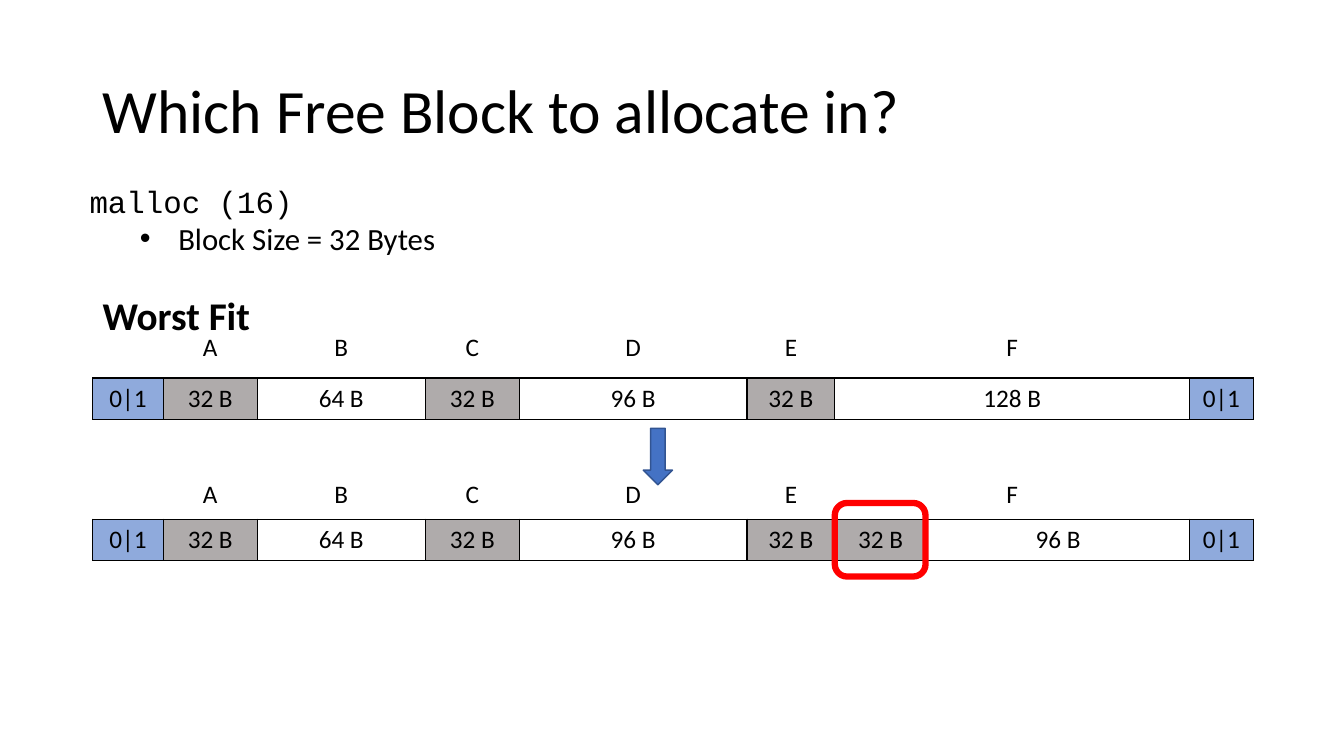
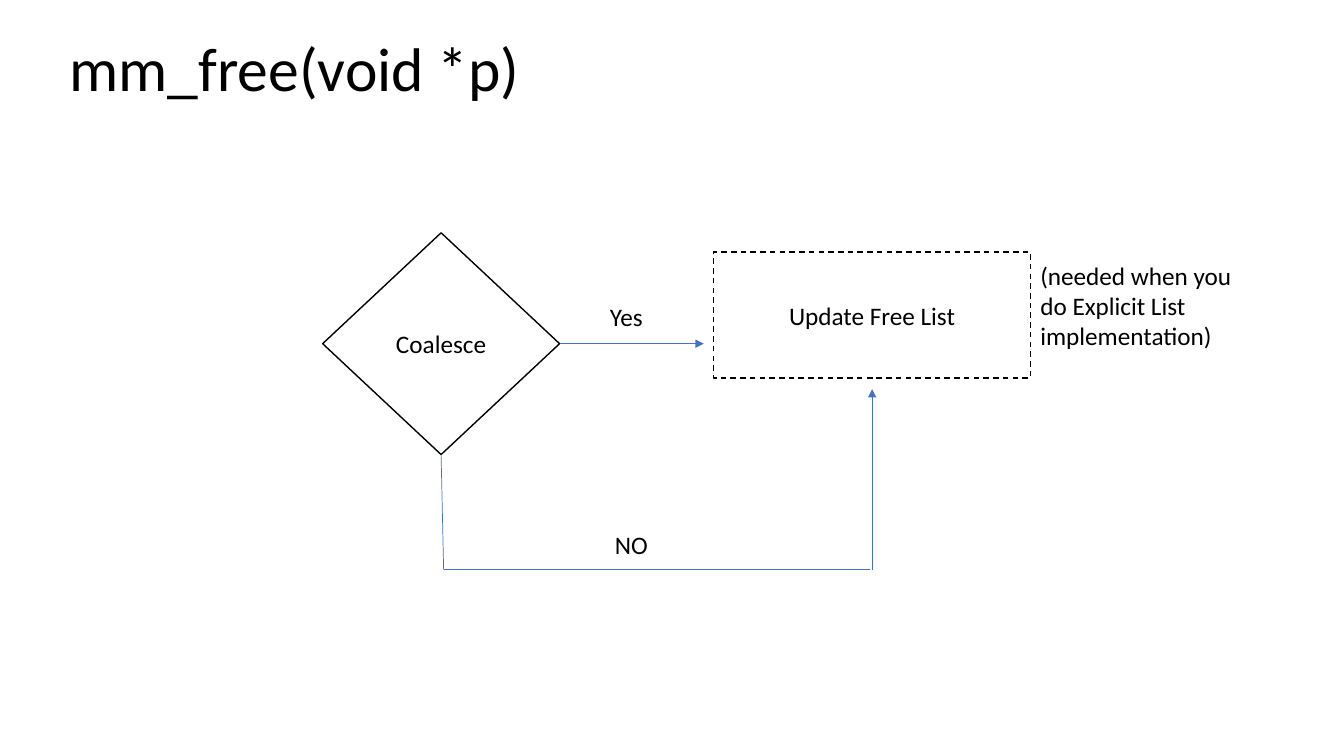
from lxml.etree import SubElement
from pptx import Presentation
from pptx.dml.color import RGBColor
from pptx.enum.dml import MSO_LINE
from pptx.enum.shapes import MSO_CONNECTOR, MSO_SHAPE
from pptx.enum.text import MSO_ANCHOR, PP_ALIGN
from pptx.oxml.ns import qn
from pptx.util import Inches, Pt

# Shared look
BLACK, WHITE, RED = "000000", "FFFFFF", "FF0000"
BLUE, DARK_BLUE = "4472C4", "325491"
ALLOCATED, BOUNDARY = "AFABAB", "8FAADC"
BODY = {"name": "Calibri", "size": Pt(18), "bold": False}
TITLE = BODY | {"size": Pt(44)}
HEADING = BODY | {"size": Pt(28), "bold": True}
DETAIL = BODY | {"size": Pt(22)}
CODE = DETAIL | {"name": "Courier New"}

# Heap columns
ROW_HEIGHT = 0.41
HEAP_WIDTHS = [0.7, 0.93, 1.67, 0.93, 2.26, 0.87, 3.52, 0.63]
SPLIT_WIDTHS = HEAP_WIDTHS[:6] + [0.91, 2.61] + HEAP_WIDTHS[7:]
HEAP_FILLS = [BOUNDARY, ALLOCATED, None, ALLOCATED, None, ALLOCATED, None, BOUNDARY]
SPLIT_FILLS = HEAP_FILLS[:6] + [ALLOCATED, None, BOUNDARY]
LABELS = ["", "A", "B", "C", "D", "E", "F", ""]
SIZES = ["0|1", "32 B", "64 B", "32 B", "96 B", "32 B", "128 B", "0|1"]
SPLIT_SIZES = SIZES[:6] + ["32 B", "96 B", "0|1"]


def color(hex_value):
    return RGBColor.from_string(hex_value)


def write(paragraph, text, formats=BODY, align=PP_ALIGN.LEFT):
    paragraph.alignment = align
    run = paragraph.add_run()
    run.text = text
    for attribute, value in formats.items():
        setattr(run.font, attribute, value)
    run.font.color.rgb = color(BLACK)


def add_text(slide, box, text, formats=BODY, anchor=MSO_ANCHOR.TOP):
    frame = slide.shapes.add_textbox(*map(Inches, box)).text_frame
    frame.word_wrap = True
    frame.vertical_anchor = anchor
    write(frame.paragraphs[0], text, formats)
    return frame


def add_title(slide, left, top, text):
    frame = add_text(slide, (left, top, 11.5, 1.45), text, TITLE, MSO_ANCHOR.MIDDLE)
    frame.paragraphs[0].line_spacing = 0.9


def add_box(slide, kind, box, fill, line, width, text=""):
    shape = slide.shapes.add_shape(kind, *map(Inches, box))
    shape.shadow.inherit = False
    if fill:
        shape.fill.solid()
        shape.fill.fore_color.rgb = color(fill)
    else:
        shape.fill.background()
    shape.line.color.rgb = color(line)
    shape.line.width = Pt(width)
    if text:
        shape.text_frame.vertical_anchor = MSO_ANCHOR.MIDDLE
        write(shape.text_frame.paragraphs[0], text, align=PP_ALIGN.CENTER)
    return shape


def add_line(slide, start, end, arrow=False):
    line = slide.shapes.add_connector(MSO_CONNECTOR.STRAIGHT, *map(Inches, start + end))
    line.line.color.rgb = color(BLUE)
    line.line.width = Pt(0.5)
    if arrow:
        SubElement(line.line._get_or_add_ln(), qn("a:tailEnd"), type="triangle")
    SubElement(line._element.spPr, qn("a:effectLst"))
    return line


def set_borders(cell, visible):
    properties = cell._tc.get_or_add_tcPr()
    for position, side in enumerate(("a:lnL", "a:lnR", "a:lnT", "a:lnB")):
        border = SubElement(properties, qn(side), w=str(Pt(1)))
        if visible:
            fill = SubElement(border, qn("a:solidFill"))
            SubElement(fill, qn("a:srgbClr"), val=BLACK)
        else:
            SubElement(border, qn("a:noFill"))
        properties.insert(position, border)


def add_row(slide, left, top, widths, texts, fills=None):
    """One table row; without fills it is a borderless row of labels."""
    box = map(Inches, (left, top, sum(widths), ROW_HEIGHT))
    table = slide.shapes.add_table(1, len(widths), *box).table
    table.first_row = table.horz_banding = False
    cell_fills = fills or [None] * len(widths)
    for index, (width, text, fill) in enumerate(zip(widths, texts, cell_fills)):
        table.columns[index].width = Inches(width)
        cell = table.cell(0, index)
        cell.vertical_anchor = MSO_ANCHOR.MIDDLE
        if fill:
            cell.fill.solid()
            cell.fill.fore_color.rgb = color(fill)
        else:
            cell.fill.background()
        set_borders(cell, fills is not None)
        if text:
            write(cell.text_frame.paragraphs[0], text, align=PP_ALIGN.CENTER)


def add_request(slide, left, top):
    frame = add_text(slide, (left, top, 4.26, 0.84), "malloc (16)", CODE)
    detail = frame.add_paragraph()
    detail.level = 1
    write(detail, "Block Size = 32 Bytes", DETAIL)
    properties = detail._p.get_or_add_pPr()
    properties.set("marL", str(Inches(0.88)))
    properties.set("indent", str(Inches(-0.38)))
    SubElement(properties, qn("a:buFont"), typeface="Arial")
    SubElement(properties, qn("a:buChar"), char="•")


def add_heaps(slide, left, top):
    # Heap after the allocation
    after_top = top + 1.4
    add_row(slide, left, after_top, SPLIT_WIDTHS, SPLIT_SIZES, SPLIT_FILLS)
    add_row(slide, left, after_top - 0.45, HEAP_WIDTHS, LABELS)
    new_block = (left + sum(SPLIT_WIDTHS[:6]), after_top - 0.16, 0.9, ROW_HEIGHT + 0.32)
    add_box(slide, MSO_SHAPE.ROUNDED_RECTANGLE, new_block, None, RED, 4.5)
    # Heap before the allocation
    add_row(slide, left, top, HEAP_WIDTHS, SIZES, HEAP_FILLS)
    add_row(slide, left, top - 0.5, HEAP_WIDTHS, LABELS)
    step = (left + 5.46, top + 0.5, 0.29, 0.56)
    add_box(slide, MSO_SHAPE.DOWN_ARROW, step, BLUE, DARK_BLUE, 1)


def add_free_flow(slide, left, top):
    def at(x, y, *size):
        return (left + x, top + y, *size)

    # Decision and its Yes branch
    coalesce = add_box(slide, MSO_SHAPE.DIAMOND, at(0, 0, 2.35, 2.2),
                       WHITE, BLACK, 1, "Coalesce")
    yes_branch = add_line(slide, at(2.35, 1.1), at(3.78, 1.1), arrow=True)
    yes_branch.begin_connect(coalesce, 3)
    add_text(slide, at(2.75, 0.63, 0.91, 0.4), "Yes")

    # No branch
    no_branch = add_line(slide, at(1.17, 2.2), at(1.2, 3.34))
    no_branch.begin_connect(coalesce, 2)
    add_line(slide, at(1.2, 3.34), at(5.43, 3.34))
    add_line(slide, at(5.45, 3.34), at(5.45, 1.55), arrow=True)

    # Free list update
    update = add_box(slide, MSO_SHAPE.RECTANGLE, at(3.88, 0.19, 3.14, 1.25),
                     WHITE, BLACK, 1, "Update Free List")
    update.line.dash_style = MSO_LINE.DASH
    add_text(slide, at(2.8, 2.89, 0.54, 0.4), "NO")
    add_text(slide, at(7.02, 0.22, 2.34, 1.01),
             "(needed when you do Explicit List implementation)")


def build_worst_fit(slide):
    add_title(slide, 0.92, 0.4, "Which Free Block to allocate in?")
    add_text(slide, (0.92, 2.84, 8.11, 0.57), "Worst Fit", HEADING)
    add_request(slide, 0.79, 1.76)
    add_heaps(slide, 0.92, 3.75)


def build_free(slide):
    add_title(slide, 0.59, -0.02, "mm_free(void *p)")
    add_free_flow(slide, 3.2, 2.31)


def main():
    deck = Presentation()
    deck.slide_width, deck.slide_height = Inches(13.33), Inches(7.5)
    for build in (build_worst_fit, build_free):
        build(deck.slides.add_slide(deck.slide_layouts[6]))
    deck.save("out.pptx")


if __name__ == "__main__":
    main()
